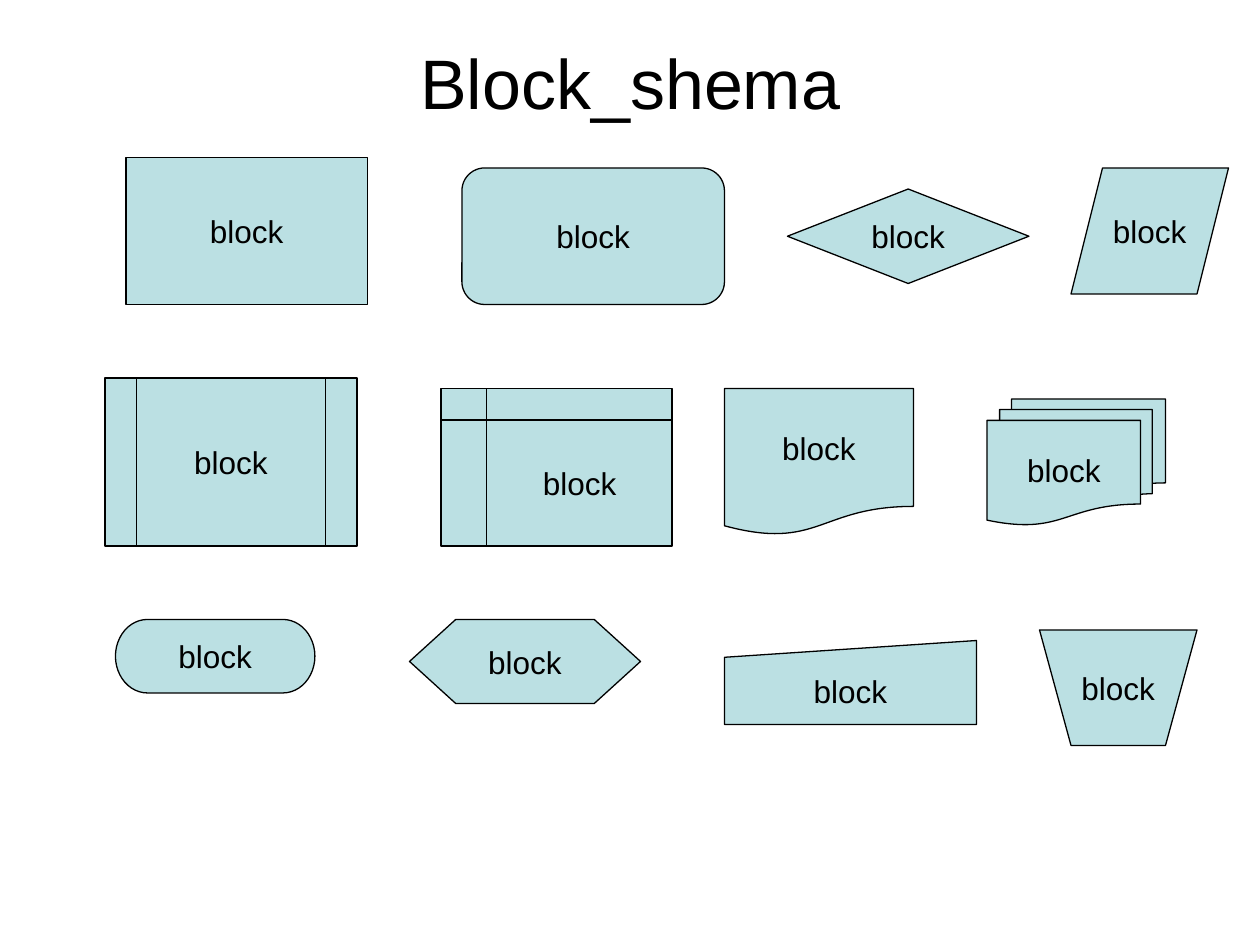
from pptx import Presentation
from pptx.dml.color import RGBColor
from pptx.enum.shapes import MSO_SHAPE as Preset
from pptx.enum.text import MSO_ANCHOR as Anchor, PP_ALIGN as Align
from pptx.util import Pt

COLORS = {"fill": "BBE0E3", "ink": "000000"}
FONT = "Arial"

TITLE_BOX = (36, 21.6, 648, 50.4)
INTERNAL_STORAGE_BOX = (252, 222, 132, 90)
BLOCKS = [
    (Preset.FLOWCHART_PROCESS, (72, 90, 138, 84)),
    (Preset.FLOWCHART_ALTERNATE_PROCESS, (264, 96, 150, 78)),
    (Preset.FLOWCHART_DECISION, (450, 108, 138, 54)),
    (Preset.FLOWCHART_DATA, (612, 96, 90, 72)),
    (Preset.FLOWCHART_PREDEFINED_PROCESS, (60, 216, 144, 96)),
    (Preset.FLOWCHART_INTERNAL_STORAGE, INTERNAL_STORAGE_BOX),
    (Preset.FLOWCHART_DOCUMENT, (414, 222, 108, 84)),
    (Preset.FLOWCHART_MULTIDOCUMENT, (564, 228, 102, 72)),
    (Preset.FLOWCHART_TERMINATOR, (66, 354, 114, 42)),
    (Preset.FLOWCHART_PREPARATION, (234, 354, 132, 48)),
    (Preset.FLOWCHART_MANUAL_INPUT, (414, 366, 144, 48)),
    (Preset.FLOWCHART_MANUAL_OPERATION, (594, 360, 90, 66)),
]


def write_text(shape, text, size):
    frame = shape.text_frame
    frame.text = text
    frame.vertical_anchor = Anchor.MIDDLE
    paragraph = frame.paragraphs[0]
    paragraph.alignment = Align.CENTER
    font = paragraph.runs[0].font
    font.name, font.size = FONT, Pt(size)
    font.color.rgb = RGBColor.from_string(COLORS["ink"])


def style_block(shape):
    shape.shadow.inherit = False
    shape.fill.solid()
    shape.fill.fore_color.rgb = RGBColor.from_string(COLORS["fill"])
    shape.line.color.rgb = RGBColor.from_string(COLORS["ink"])
    shape.line.width = Pt(0.75)
    write_text(shape, "block", 18)
    shape.text_frame.word_wrap = False


def add_title(slide, box):
    title = slide.shapes.title
    title.left, title.top, title.width, title.height = map(Pt, box)
    write_text(title, "Block_shema", 40)


def add_internal_storage(slide, box):
    left, top, width, height = box
    right, bottom = left + width, top + height
    column, row = width / 5, height / 5
    outline = slide.shapes.build_freeform(left, top, scale=Pt(1))
    outline.add_line_segments([(left, bottom), (right, bottom), (right, top)])
    outline.move_to(left + column, top)
    outline.add_line_segments([(left + column, bottom)], close=False)
    outline.move_to(left, top + row)
    outline.add_line_segments([(right, top + row)], close=False)
    shape = outline.convert_to_shape()
    style_block(shape)
    frame = shape.text_frame
    frame.margin_left, frame.margin_top = Pt(column), Pt(row)
    frame.margin_right = frame.margin_bottom = 0


def add_block(slide, preset, box):
    style_block(slide.shapes.add_shape(preset, *map(Pt, box)))


def main():
    presentation = Presentation()
    presentation.slide_width, presentation.slide_height = Pt(720), Pt(540)
    slide = presentation.slides.add_slide(presentation.slide_layouts[5])
    add_title(slide, TITLE_BOX)
    for preset, box in BLOCKS:
        if preset == Preset.FLOWCHART_INTERNAL_STORAGE:
            add_internal_storage(slide, box)
        else:
            add_block(slide, preset, box)
    presentation.save("out.pptx")


if __name__ == "__main__":
    main()
